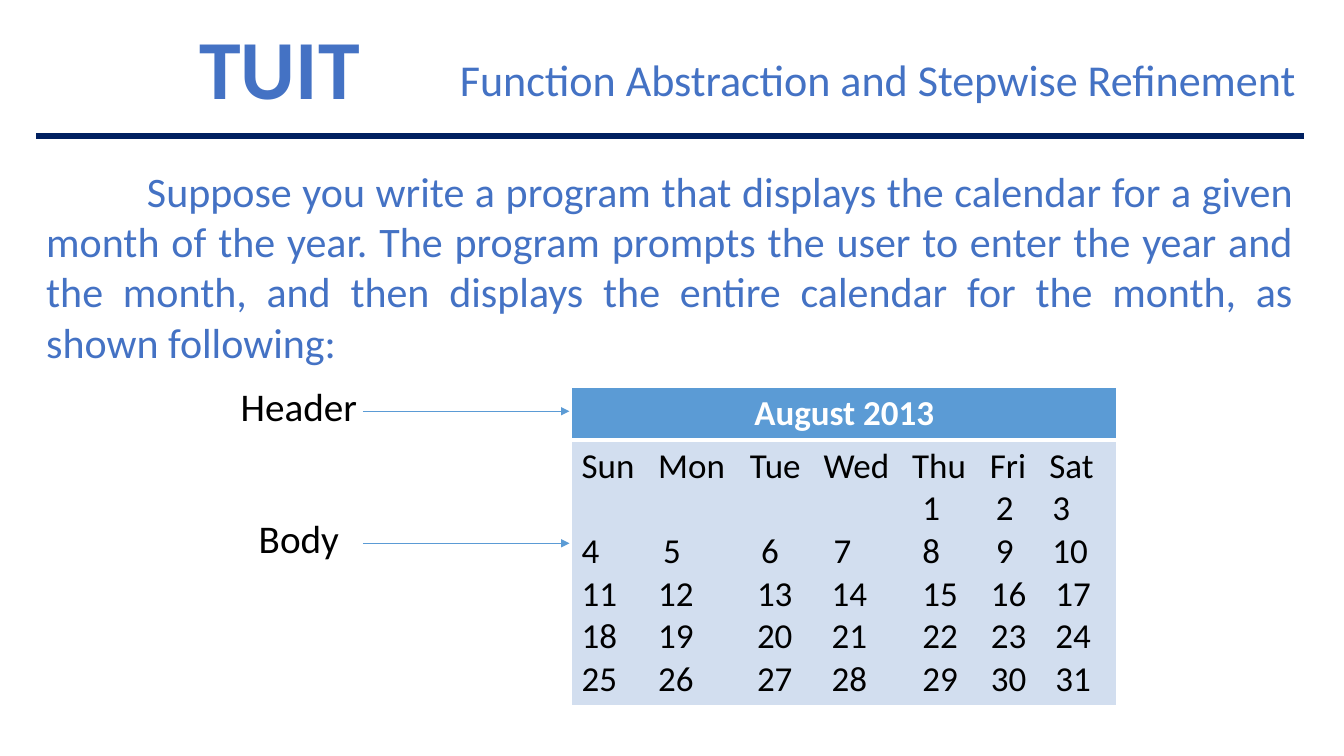
import pptx
import pptx.chart.data
import pptx.dml.color
import pptx.enum.shapes
import pptx.enum.text
import pptx.oxml
import pptx.oxml.ns
import pptx.util
from lxml import etree

ALIGN = pptx.enum.text.PP_ALIGN
ANCHOR = pptx.enum.text.MSO_ANCHOR
ROYAL, NAVY, SKY, PALE = "4472C4", "002060", "5B9BD5", "D2DEEF"
BLACK, WHITE = "000000", "FFFFFF"
FONT = "Calibri"

HEADING_STOPS = (4.56, 10.02, 14.4, 19.68, 24.3, 27.84)
ONE_DIGIT_STOPS = (4.86, 10.68, 15, 20.28, 24.66, 28.02)
TWO_DIGIT_STOPS = (4.56, 10.44, 14.88, 20.28, 24.36, 28.2)
WEEKS = [
    (["Sun", "Mon", "Tue", "Wed", "Thu", "Fri", "Sat"], HEADING_STOPS),
    ([""] * 4 + ["1", "2", "3"], ONE_DIGIT_STOPS),
    ([str(day) for day in range(4, 11)], ONE_DIGIT_STOPS),
] + [([str(day) for day in range(start, start + 7)], TWO_DIGIT_STOPS) for start in (11, 18, 25)]


def grid(units):
    return pptx.util.Inches(units / 6)


def color(value):
    return pptx.dml.color.RGBColor.from_string(value)


def style(paragraph, size, ink, align=ALIGN.LEFT, bold=False, spacing=None):
    paragraph.alignment = align
    paragraph.line_spacing = spacing
    paragraph.space_before = pptx.util.Pt(0)
    for run in paragraph.runs:
        run.font.name = FONT
        run.font.size = pptx.util.Pt(size)
        run.font.bold = bold
        run.font.color.rgb = color(ink)


def write(shape, text, size, ink, anchor=ANCHOR.TOP, wrap=True, **look):
    frame = shape.text_frame
    frame.text = text
    frame.word_wrap = wrap
    frame.auto_size = pptx.enum.text.MSO_AUTO_SIZE.NONE
    frame.vertical_anchor = anchor
    style(frame.paragraphs[0], size, ink, **look)
    return frame.paragraphs[0]


def add_text(slide, box, text, size, ink, **look):
    return write(slide.shapes.add_textbox(*map(grid, box)), text, size, ink, **look)


def add_line(slide, start, end, ink, width, arrow=False):
    line = slide.shapes.add_connector(
        pptx.enum.shapes.MSO_CONNECTOR.STRAIGHT, *map(grid, start + end))
    line.line.color.rgb = color(ink)
    line.line.width = pptx.util.Pt(width)
    if arrow:
        etree.SubElement(line.line._get_or_add_ln(), pptx.oxml.ns.qn("a:tailEnd"), type="triangle")
    etree.SubElement(line._element.spPr, pptx.oxml.ns.qn("a:effectLst"))


def add_header(slide, box):
    left, top, width, height = box
    add_text(slide, (left + 9.12, top, 11.58, 4.86), "TUIT", 60, ROYAL,
             align=ALIGN.JUSTIFY, bold=True, spacing=0.85)
    add_line(slide, (left, top + height), (left + width, top + height), NAVY, 4.5)
    title = slide.shapes.title
    title.left, title.top, title.width, title.height = map(
        grid, (left + 20.7, top + 0.42, width - 20.64, 4.5))
    write(title, "Function Abstraction and Stepwise Refinement", 31.5, ROYAL,
          anchor=ANCHOR.BOTTOM, align=ALIGN.RIGHT, spacing=0.7)


def add_intro(slide, box):
    intro = add_text(
        slide, box,
        "Suppose you write a program that displays the calendar for a given month of the year. "
        "The program prompts the user to enter the year and the month, and then displays the "
        "entire calendar for the month, as shown following:",
        30, ROYAL, align=ALIGN.JUSTIFY)
    intro._p.get_or_add_pPr().set("indent", str(grid(6)))


def set_borders(cell, widths):
    properties = cell._tc.get_or_add_tcPr()
    for index, (side, width) in enumerate(zip("LRTB", widths)):
        border = etree.Element(pptx.oxml.ns.qn(f"a:ln{side}"), w=str(pptx.util.Pt(width)))
        fill = etree.SubElement(border, pptx.oxml.ns.qn("a:solidFill"))
        etree.SubElement(fill, pptx.oxml.ns.qn("a:srgbClr"), val=WHITE)
        properties.insert(index, border)


def set_tabs(paragraph, stops):
    tabs = etree.SubElement(paragraph._p.get_or_add_pPr(), pptx.oxml.ns.qn("a:tabLst"))
    for stop in stops:
        etree.SubElement(tabs, pptx.oxml.ns.qn("a:tab"), pos=str(grid(stop)), algn="l")


def add_month(slide, box):
    month = slide.shapes.add_table(2, 1, *map(grid, box)).table
    month.rows[0].height = grid(3.06)
    month.rows[1].height = grid(box[3] - 3.06)
    header, body = month.cell(0, 0), month.cell(1, 0)
    for cell, fill, widths in ((header, SKY, (1, 1, 1, 3)), (body, PALE, (1, 1, 3, 1))):
        cell.fill.solid()
        cell.fill.fore_color.rgb = color(fill)
        set_borders(cell, widths)
    header.text_frame.text = "August 2013"
    style(header.text_frame.paragraphs[0], 25, WHITE, align=ALIGN.CENTER, bold=True)
    body.text_frame.text = "\n".join("\t".join(days) for days, _ in WEEKS)
    for week, (_, stops) in zip(body.text_frame.paragraphs, WEEKS):
        set_tabs(week, stops)
        style(week, 25, BLACK)


def add_calendar(slide, box):
    left, top, width, height = box
    month_left = 20.34
    add_month(slide, (left + month_left, top, width - month_left, height))
    for label, offset in (("Header", 1.44), ("Body", 9.3)):
        level = top + offset
        add_line(slide, (left + 7.92, level), (left + month_left - 0.12, level), SKY, 0.5, arrow=True)
        add_text(slide, (left, level - 2, 8.22, 3.42), label, 28, BLACK,
                 wrap=False, align=ALIGN.CENTER)


def main():
    deck = pptx.Presentation()
    deck.slide_width, deck.slide_height = grid(80), grid(45)
    slide = deck.slides.add_slide(deck.slide_layouts[5])
    add_header(slide, (2.16, 1.56, 75.48, 6.54))
    add_intro(slide, (2.16, 9.54, 75.48, 13.44))
    add_calendar(slide, (13.68, 23.04, 52.8, 18.9))
    deck.save("out.pptx")


if __name__ == "__main__":
    main()
